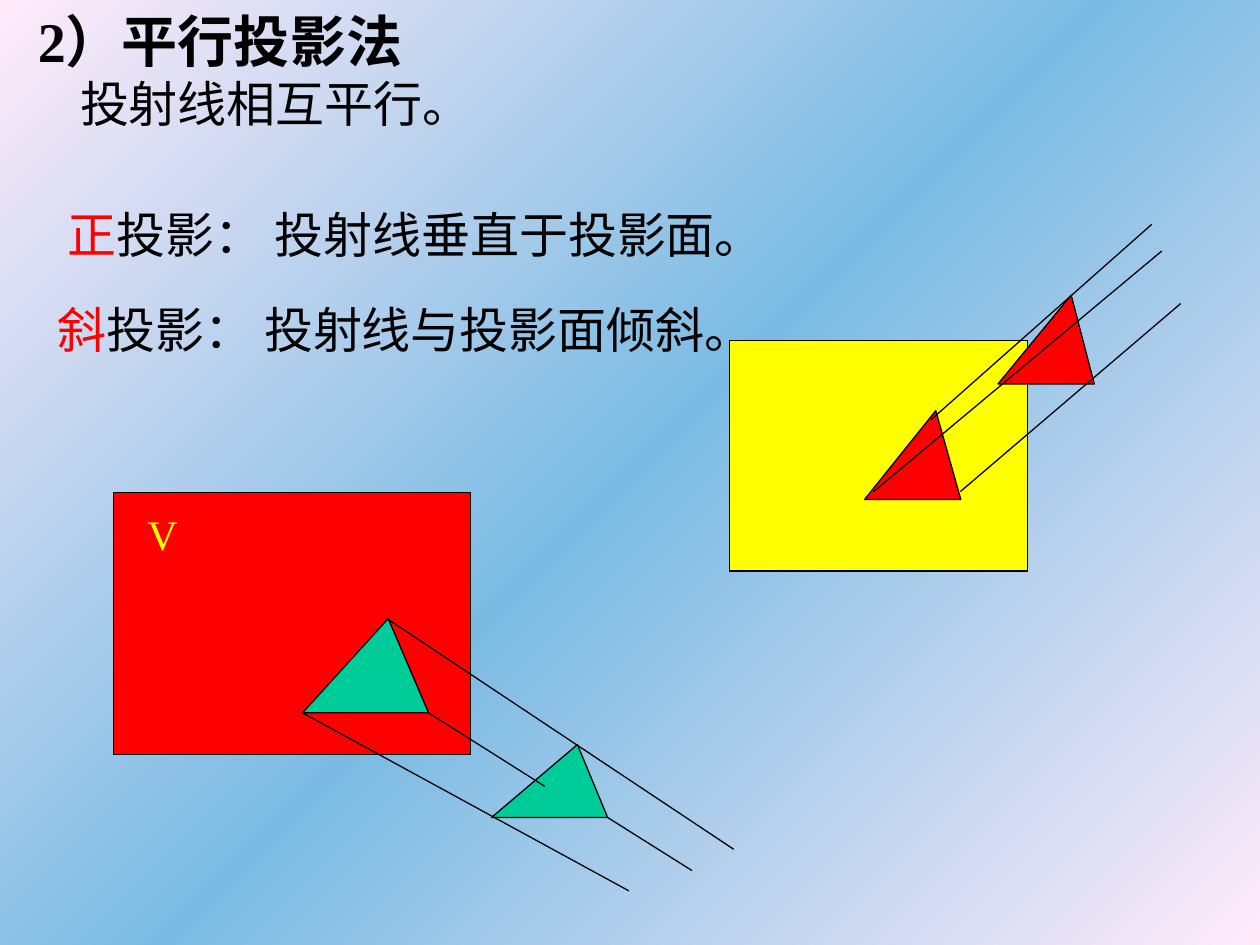
from copy import deepcopy
from dataclasses import dataclass

from lxml.etree import SubElement
from pptx import Presentation
from pptx.dml.color import RGBColor
from pptx.enum.shapes import MSO_CONNECTOR, MSO_SHAPE
from pptx.enum.text import MSO_ANCHOR, MSO_AUTO_SIZE, PP_ALIGN
from pptx.oxml.ns import qn
from pptx.util import Cm, Pt


@dataclass(frozen=True)
class Theme:
    font: str = "Times New Roman"
    head: int = 32
    body: int = 28
    label: int = 24
    line: float = 0.75
    black: RGBColor = RGBColor(0, 0, 0)
    red: RGBColor = RGBColor(255, 0, 0)
    yellow: RGBColor = RGBColor(255, 255, 0)
    green: RGBColor = RGBColor(0, 204, 153)
    pink: RGBColor = RGBColor(255, 235, 250)
    blue: RGBColor = RGBColor(123, 187, 227)


T = Theme()


def style(run, size, color, bold=False):
    font = run.font
    font.name, font.size, font.bold = T.font, Pt(size), bold
    font.color.rgb = color


def backdrop(slide):
    """Diagonal gradient: pink, blue, pink."""
    fill = slide.background.fill
    fill.gradient()
    fill.gradient_angle = 135
    first, last = fill.gradient_stops
    first.color.rgb, first.position = T.pink, 0
    last.color.rgb, last.position = T.blue, 0.5
    stops = slide.element.find(".//" + qn("a:gsLst"))
    end = deepcopy(stops[0])
    end.set("pos", "100000")
    stops.append(end)


def heading(slide, box):
    """Title with its indented definition line."""
    title = slide.shapes.title
    title.left, title.top, title.width, title.height = map(Cm, box)
    frame = title.text_frame
    frame.text = "2）平行投影法\n投射线相互平行。"
    frame.word_wrap = True
    frame.auto_size = MSO_AUTO_SIZE.NONE
    frame.vertical_anchor = MSO_ANCHOR.TOP
    for para, size, bold in zip(frame.paragraphs, (T.head, T.body), (True, False)):
        para.alignment = PP_ALIGN.LEFT
        style(para.runs[0], size, T.black, bold)
    frame.paragraphs[1]._p.get_or_add_pPr().set("marL", str(Cm(0.85)))


def words(shapes, box, parts, size):
    """One unwrapped line made of (text, colour) parts."""
    frame = shapes.add_textbox(*map(Cm, box)).text_frame
    frame.word_wrap = False
    frame.auto_size = MSO_AUTO_SIZE.SHAPE_TO_FIT_TEXT
    for text, color in parts:
        run = frame.paragraphs[0].add_run()
        run.text = text
        style(run, size, color)


def outline(item):
    item.line.color.rgb = T.black
    item.line.width = Pt(T.line)


def solid(shapes, kind, box, color):
    shape = shapes.add_shape(kind, *map(Cm, box))
    shape.shadow.inherit = False
    shape.fill.solid()
    shape.fill.fore_color.rgb = color
    outline(shape)
    return shape


def figure(slide, box, plane, color, faces, rays):
    """Plane, triangles and rays; faces and rays are relative to the box."""
    shapes = slide.shapes.add_group_shape().shapes
    x, y = box[:2]
    solid(shapes, MSO_SHAPE.RECTANGLE, box, plane)
    for dx, dy, w, h, apex in faces:
        face = solid(shapes, MSO_SHAPE.ISOSCELES_TRIANGLE, (x + dx, y + dy, w, h), color)
        face.adjustments[0] = apex
    for ax, ay, bx, by in rays:
        ends = map(Cm, (x + ax, y + ay, x + bx, y + by))
        ray = shapes.add_connector(MSO_CONNECTOR.STRAIGHT, *ends)
        outline(ray)
        SubElement(ray._element.spPr, qn("a:effectLst"))
    return shapes


def main():
    deck = Presentation()
    deck.slide_width, deck.slide_height = Cm(25.4), Cm(19.05)
    slide = deck.slides.add_slide(deck.slide_layouts[5])
    backdrop(slide)
    heading(slide, (0.51, 0, 13.13, 2.79))

    # Oblique projection
    figure(slide, (14.71, 6.86, 6, 4.65), T.yellow, T.red,
           faces=[(2.72, 1.42, 1.94, 1.79, 0.74), (5.41, -0.91, 1.94, 1.79, 0.76)],
           rays=[(4.06, 1.6, 8.51, -2.34), (2.9, 3.05, 8.71, -1.8),
                 (4.65, 3.05, 9.09, -0.74)])

    # Orthogonal projection on plane V
    x, y = 2.29, 9.93
    group = figure(slide, (x, y, 7.19, 5.28), T.red, T.green,
                   faces=[(3.81, 2.54, 2.54, 1.9, 0.68), (7.62, 5.08, 2.34, 1.47, 0.74)],
                   rays=[(5.51, 2.54, 12.5, 7.19), (3.81, 4.44, 10.39, 8.03),
                         (6.35, 4.44, 8.69, 5.92), (9.96, 6.55, 11.66, 7.62)])
    words(group, (x + 0.43, y + 0.2, 1.12, 1.27), [("V", T.yellow)], T.label)

    # Definitions
    for left, top, key, rest in (
        (1.12, 3.99, "正", "投影： 投射线垂直于投影面。"),
        (0.91, 5.92, "斜", "投影： 投射线与投影面倾斜。"),
    ):
        words(slide.shapes, (left, top, 14.53, 1.45),
              [(key, T.red), (rest, T.black)], T.body)

    deck.save("out.pptx")


if __name__ == "__main__":
    main()
